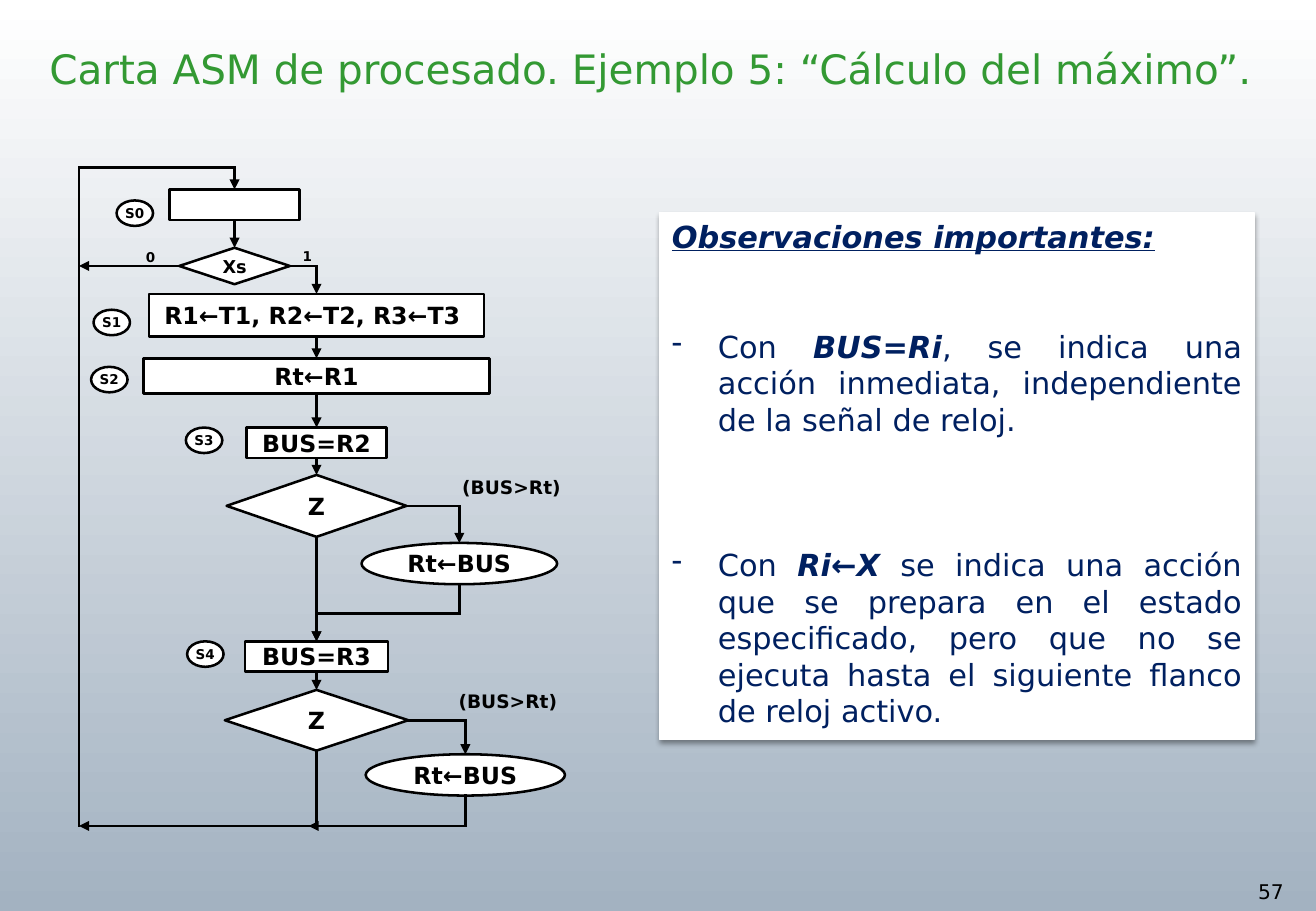
"""Builds the slide on the ASM chart that finds a maximum."""
from dataclasses import dataclass
from itertools import pairwise
from typing import NamedTuple

from lxml.etree import SubElement
from pptx import Presentation
from pptx.dml.color import RGBColor as Rgb
from pptx.enum.shapes import MSO_CONNECTOR as Connector, MSO_SHAPE as Preset
from pptx.enum.text import MSO_ANCHOR as Anchor, MSO_AUTO_SIZE as AutoSize, PP_ALIGN as Align
from pptx.oxml.ns import qn
from pptx.util import Emu, Inches, Pt

CELL = Inches(0.1)
COLUMNS, ROWS = 108.3, 75
TOP, LEFT, BOTTOM, RIGHT = range(4)
START_AXIS, MAIN_AXIS, LOOP_COLUMN, LOOP_ROW = 19.3, 26.05, 6.5, 68


@dataclass(frozen=True)
class Theme:
    font: str = "DejaVu Sans"
    ink: Rgb = Rgb(0, 0, 0)
    paper: Rgb = Rgb(255, 255, 255)
    sky: Rgb = Rgb(0xA3, 0xB2, 0xC1)
    title: Rgb = Rgb(0x33, 0x99, 0x33)
    note: Rgb = Rgb(0, 0x20, 0x60)
    title_size: float = 24
    note_size: float = 18
    step_size: float = 14
    number_size: float = 12
    hint_size: float = 11
    start_size: float = 10.5
    state_size: float = 8
    stroke: float = 1.5


THEME = Theme()


class Node(NamedTuple):
    name: str
    preset: Preset
    axis: float
    top: float
    width: float
    height: float
    text: str = ""
    size: float = THEME.step_size


class Label(NamedTuple):
    text: str
    column: float
    row: float
    size: float


class Port(NamedTuple):
    node: str
    side: int


class Run(NamedTuple):
    text: str
    strong: bool = False
    underline: bool = False


class NoteParagraph(NamedTuple):
    runs: list[Run]
    lines_before: int = 0
    bullet: bool = False


BOX, TEST, OVAL = Preset.RECTANGLE, Preset.FLOWCHART_DECISION, Preset.OVAL
NODES = [
    Node("start", BOX, START_AXIS, 15.6, 10.7, 2.5),
    Node("start test", TEST, START_AXIS, 20.4, 9.1, 3, "Xs", THEME.start_size),
    Node("load", BOX, MAIN_AXIS, 24.2, 27.6, 3.5, "R1←T1, R2←T2, R3←T3 "),
    Node("first", BOX, MAIN_AXIS, 29.5, 28.5, 2.9, "Rt←R1"),
    Node("bus 2", BOX, MAIN_AXIS, 35.2, 11.5, 2.5, "BUS=R2"),
    Node("test 2", TEST, MAIN_AXIS, 39.1, 14.8, 5.1, "Z"),
    Node("keep 2", OVAL, 37.8, 44.7, 16.1, 3.4, "Rt←BUS"),
    Node("bus 3", BOX, MAIN_AXIS, 52.8, 11.8, 2.5, "BUS=R3"),
    Node("test 3", TEST, MAIN_AXIS, 56.8, 15.1, 5, "Z"),
    Node("keep 3", OVAL, 38.3, 62.1, 16.4, 3.4, "Rt←BUS"),
]
STATE_PLACES = [(11.1, 16.5), (9.2, 25.5), (9, 30.2), (16.8, 35.2), (16.9, 52.8)]
STATES = [Node(f"S{i}", OVAL, axis, top, 3, 2.1, f"S{i}", THEME.state_size)
          for i, (axis, top) in enumerate(STATE_PLACES)]
LABELS = [
    Label("0", 12.4, 21.2, THEME.state_size),
    Label("1", 25.3, 21.1, THEME.state_size),
    Label("(BUS>Rt)", 42.1, 40.1, THEME.hint_size),
    Label("(BUS>Rt)", 41.8, 57.7, THEME.hint_size),
]
ROUTES = [
    *([Port(upper, BOTTOM), Port(lower, TOP)] for upper, lower in [
        ("start", "start test"), ("load", "first"), ("first", "bus 2"),
        ("bus 2", "test 2"), ("test 2", "bus 3"), ("bus 3", "test 3")]),
    [Port("start test", LEFT), (LOOP_COLUMN, 21.9)],
    [Port("start test", RIGHT), (MAIN_AXIS, 21.9), Port("load", TOP)],
    [Port("test 2", RIGHT), (37.8, 41.65), Port("keep 2", TOP)],
    [Port("keep 2", BOTTOM), (37.8, 50.5), (MAIN_AXIS, 50.5), Port("bus 3", TOP)],
    [Port("test 3", RIGHT), (38.3, 59.3), Port("keep 3", TOP)],
    [Port("keep 3", BOTTOM), (38.3, LOOP_ROW), (25.4, LOOP_ROW)],
    [Port("test 3", BOTTOM), (MAIN_AXIS, LOOP_ROW), (LOOP_COLUMN, LOOP_ROW)],
    [(LOOP_COLUMN, LOOP_ROW), (LOOP_COLUMN, 13.8), (START_AXIS, 13.8), Port("start", TOP)],
]
NOTE = [
    NoteParagraph([Run("Observaciones importantes:", True, True)]),
    NoteParagraph([Run("Con "), Run("BUS=Ri", True),
                   Run(", se indica una acción inmediata, independiente de la señal de reloj.")],
                  2, True),
    NoteParagraph([Run("Con "), Run("Ri←X", True),
                   Run(" se indica una acción que se prepara en el estado especificado, "
                       "pero que no se ejecuta hasta el siguiente flanco de reloj activo.")],
                  3, True),
]


def grid(*cells: float) -> list[Emu]:
    return [Emu(round(cell * CELL)) for cell in cells]


def add_run(paragraph, text: str, size: float, color: Rgb, bold: bool = False):
    run = paragraph.add_run()
    run.text = text
    font = run.font
    font.name, font.size, font.bold = THEME.font, Pt(size), bold
    font.color.rgb = color
    return run


def write_centred(shape, text: str, size: float, bold: bool = True) -> None:
    frame = shape.text_frame
    frame.word_wrap = False
    frame.vertical_anchor = Anchor.MIDDLE
    frame.margin_left = frame.margin_right = frame.margin_top = frame.margin_bottom = 0
    paragraph = frame.paragraphs[0]
    paragraph.alignment = Align.CENTER
    add_run(paragraph, text, size, THEME.ink, bold)


def add_panel(slide, preset: Preset, box: list[Emu], line: Rgb, width: float):
    shape = slide.shapes.add_shape(preset, *box)
    shape.shadow.inherit = False
    shape.fill.solid()
    shape.fill.fore_color.rgb = THEME.paper
    shape.line.color.rgb = line
    shape.line.width = Pt(width)
    return shape


def add_node(slide, node: Node):
    box = grid(node.axis - node.width / 2, node.top, node.width, node.height)
    shape = add_panel(slide, node.preset, box, THEME.ink, THEME.stroke)
    if node.text:
        write_centred(shape, node.text, node.size)
    return shape


def add_label(slide, label: Label, bold: bool = True) -> None:
    box = slide.shapes.add_textbox(*grid(label.column - 5, label.row - 1, 10, 2))
    write_centred(box, label.text, label.size, bold)


def locate(stop, shapes: dict) -> tuple[Emu, Emu]:
    if not isinstance(stop, Port):
        return tuple(grid(*stop))
    shape = shapes[stop.node]
    across, down = [(0.5, 0), (0, 0.5), (0.5, 1), (1, 0.5)][stop.side]
    return Emu(round(shape.left + across * shape.width)), Emu(round(shape.top + down * shape.height))


def can_join(stop, shapes: dict) -> bool:
    return isinstance(stop, Port) and shapes[stop.node].auto_shape_type != OVAL


def add_route(slide, stops: list, shapes: dict) -> None:
    for start, end in pairwise(stops):
        connector = slide.shapes.add_connector(
            Connector.STRAIGHT, *locate(start, shapes), *locate(end, shapes))
        if can_join(start, shapes):
            connector.begin_connect(shapes[start.node], start.side)
        if can_join(end, shapes):
            connector.end_connect(shapes[end.node], end.side)
        connector.line.color.rgb = THEME.ink
        connector.line.width = Pt(THEME.stroke)
        properties = connector.element.spPr
        line = properties.find(qn("a:ln"))
        line.set("cap", "sq")
        if end is stops[-1]:
            SubElement(line, qn("a:tailEnd"), type="triangle")
        SubElement(properties, qn("a:effectLst"))


def add_note(slide) -> None:
    shape = add_panel(slide, BOX, grid(54.3, 17.5, 48.9, 43.4), THEME.paper, 0.75)
    effects = shape.element.spPr.find(qn("a:effectLst"))
    shadow = SubElement(effects, qn("a:outerShdw"), blurRad=str(Pt(3)), dist=str(Pt(2)),
                        dir="5400000", rotWithShape="0")
    color = SubElement(shadow, qn("a:srgbClr"), val=str(THEME.ink))
    SubElement(color, qn("a:alpha"), val="40000")
    frame = shape.text_frame
    frame.word_wrap = True
    frame.vertical_anchor = Anchor.TOP
    for index, item in enumerate(NOTE):
        paragraph = frame.add_paragraph() if index else frame.paragraphs[0]
        paragraph.alignment = Align.JUSTIFY if item.bullet else Align.LEFT
        if item.lines_before:
            paragraph.space_before = Pt(item.lines_before * THEME.note_size * 1.2)
        if item.bullet:
            properties = paragraph._p.get_or_add_pPr()
            properties.set("marL", str(Inches(0.38)))
            properties.set("indent", str(-Inches(0.38)))
            SubElement(properties, qn("a:buChar"), char="-")
        for part in item.runs:
            run = add_run(paragraph, part.text, THEME.note_size, THEME.note, part.strong)
            run.font.italic, run.font.underline = part.strong, part.underline


def set_title(slide) -> None:
    title = slide.shapes.title
    title.left, title.top, title.width, title.height = grid(0, 2.9, 107.1, 5.2)
    frame = title.text_frame
    frame.auto_size, frame.word_wrap = AutoSize.NONE, True
    frame.vertical_anchor = Anchor.BOTTOM
    paragraph = frame.paragraphs[0]
    paragraph.alignment = Align.CENTER
    add_run(paragraph, "Carta ASM de procesado. Ejemplo 5: “Cálculo del máximo”.",
            THEME.title_size, THEME.title)


def main() -> None:
    presentation = Presentation()
    presentation.slide_width, presentation.slide_height = grid(COLUMNS, ROWS)
    slide = presentation.slides.add_slide(presentation.slide_layouts[5])
    fill = slide.background.fill
    fill.gradient()
    fill.gradient_angle = 270
    for stop, color in zip(fill.gradient_stops, (THEME.paper, THEME.sky)):
        stop.color.rgb = color
    set_title(slide)
    add_note(slide)
    shapes = {node.name: add_node(slide, node) for node in NODES + STATES}
    for stops in ROUTES:
        add_route(slide, stops, shapes)
    for label in LABELS:
        add_label(slide, label)
    add_label(slide, Label("57", 104.6, 73.4, THEME.number_size), bold=False)
    presentation.save("out.pptx")


if __name__ == "__main__":
    main()
